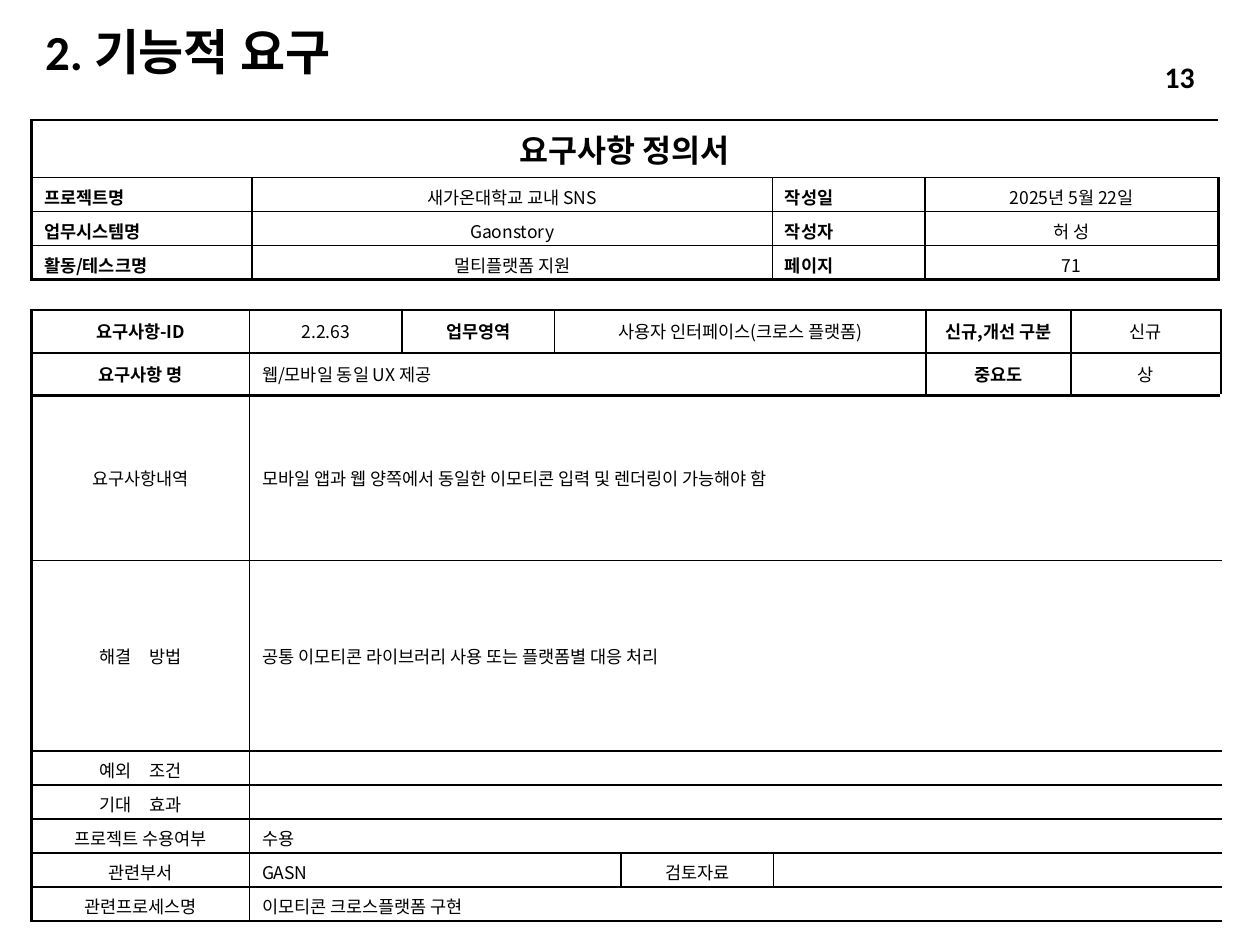
from lxml import etree
from pptx import Presentation
from pptx.dml.color import RGBColor
from pptx.enum import text
from pptx.oxml.ns import qn
from pptx.util import Inches, Pt

BLACK = "000000"
SANS, LATIN = "Noto Sans CJK KR", "Calibri"
THIN, THICK = 1, 1.5
LEFT, CENTER, RIGHT, JUSTIFY = (
    text.PP_ALIGN.LEFT, text.PP_ALIGN.CENTER, text.PP_ALIGN.RIGHT, text.PP_ALIGN.JUSTIFY)
MIDDLE, TOP = text.MSO_ANCHOR.MIDDLE, text.MSO_ANCHOR.TOP

# Cell styles: alignment, bold, size, font
STYLES = {
    "heading": (CENTER, True, 18, SANS),
    "field": (JUSTIFY, True, 10, SANS),
    "label": (CENTER, True, 10, SANS),
    "plain": (CENTER, False, 10, SANS),
    "entry": (LEFT, False, 10, SANS),
    "detail": (LEFT, False, 10, LATIN),
}

# Each row lists its cells as (text, style, columns spanned)
REQUIREMENT = {
    "at": (0.25, 2.46),
    "columns": [1.73, 1.21, 1.21, 0.53, 1.21, 1.21, 1.15, 1.19],
    "heights": [0.34, 0.34, 1.31, 1.51] + [0.27] * 5,
    "thick_below": {0, 1},
    "top_anchored": set(),
    "rows": [
        [("요구사항-ID", "label", 1), ("2.2.63", "plain", 1), ("업무영역", "label", 1),
         ("사용자 인터페이스(크로스 플랫폼)", "plain", 3),
         ("신규,개선 구분", "label", 1), ("신규", "plain", 1)],
        [("요구사항 명", "label", 1), ("웹/모바일 동일 UX 제공", "entry", 5),
         ("중요도", "label", 1), ("상", "plain", 1)],
        [("요구사항내역", "plain", 1),
         ("모바일 앱과 웹 양쪽에서 동일한 이모티콘 입력 및 렌더링이 가능해야 함", "detail", 7)],
        [("해결　방법", "plain", 1),
         ("공통 이모티콘 라이브러리 사용 또는 플랫폼별 대응 처리", "entry", 7)],
        [("예외　조건", "plain", 1), ("", "entry", 7)],
        [("기대　효과", "plain", 1), ("", "entry", 7)],
        [("프로젝트 수용여부", "plain", 1), ("수용", "entry", 7)],
        [("관련부서", "plain", 1), ("GASN", "entry", 3),
         ("검토자료", "plain", 1), ("", "entry", 3)],
        [("관련프로세스명", "plain", 1), ("이모티콘 크로스플랫폼 구현", "entry", 7)],
    ],
}
PROJECT = {
    "at": (0.25, 0.95),
    "columns": [1.75, 4.13, 1.21, 2.33],
    "heights": [0.46] + [0.27] * 3,
    "thick_below": set(),
    "top_anchored": {1, 2, 3},
    "rows": [[("요구사항 정의서", "heading", 4)]] + [
        [(name, "field", 1), (value, "plain", 1), (side_name, "field", 1), (side_value, "plain", 1)]
        for name, value, side_name, side_value in [
            ("프로젝트명", "새가온대학교 교내 SNS", "작성일", "2025년 5월 22일"),
            ("업무시스템명", "Gaonstory", "작성자", "허 성"),
            ("활동/테스크명", "멀티플랫폼 지원", "페이지", "71"),
        ]
    ],
}

# Text, place, alignment, size, line spacing
CAPTIONS = [
    ("2. 기능적 요구", (0.26, 0.21, 5.36, 0.44), LEFT, 28, 0.9),
    ("13", (7.96, 0.41, 1.62, 0.4), RIGHT, 17, 1),
]


def color(value):
    return RGBColor.from_string(value)


def write(paragraph, words, align, bold, size, font):
    paragraph.alignment = align
    if not words:
        etree.SubElement(paragraph._p, qn("a:endParaRPr"), sz=str(size * 100))
        return
    run = paragraph.add_run()
    run.text = words
    for key, value in {"name": font, "size": Pt(size), "bold": bold}.items():
        setattr(run.font, key, value)
    run.font.color.rgb = color(BLACK)
    etree.SubElement(run._r.get_or_add_rPr(), qn("a:ea"), typeface=SANS)


def add_space_before(paragraph, percent):
    spacing = etree.SubElement(paragraph._p.get_or_add_pPr(), qn("a:spcBef"))
    etree.SubElement(spacing, qn("a:spcPct"), val=str(percent * 1000))


def set_borders(cell, widths):
    """Draw the sides named in widths; they precede the fill in the schema."""
    properties = cell._tc.get_or_add_tcPr()
    for side, width in widths.items():
        line = etree.SubElement(properties, qn(f"a:ln{side}"), w=str(Pt(width)))
        fill = etree.SubElement(line, qn("a:solidFill"))
        etree.SubElement(fill, qn("a:srgbClr"), val=BLACK)
    cell.fill.background()


def add_form(slide, form):
    columns, heights, rows = form["columns"], form["heights"], form["rows"]
    area = [*form["at"], sum(columns), sum(heights)]
    table = slide.shapes.add_table(len(rows), len(columns), *map(Inches, area)).table
    table.first_row = table.horz_banding = False
    for column, width in zip(table.columns, columns):
        column.width = Inches(width)
    for row, height in zip(table.rows, heights):
        row.height = Inches(height)

    thick_lines = {0, len(rows)} | {r + 1 for r in form["thick_below"]}
    for r, cells in enumerate(rows):
        start = 0
        for words, style, span in cells:
            end = start + span
            for c in range(start, end):
                sides = {}
                if c == start:
                    sides["L"] = THIN if start else THICK
                if c == end - 1:
                    sides["R"] = THIN if end < len(columns) else THICK
                sides["T"] = THICK if r in thick_lines else THIN
                sides["B"] = THICK if r + 1 in thick_lines else THIN
                set_borders(table.cell(r, c), sides)
            cell = table.cell(r, start)
            if span > 1:
                cell.merge(table.cell(r, end - 1))
            cell.vertical_anchor = TOP if r in form["top_anchored"] else MIDDLE
            paragraph = cell.text_frame.paragraphs[0]
            add_space_before(paragraph, 20)
            write(paragraph, words, *STYLES[style])
            start = end


def add_caption(slide, words, place, align, size, spacing):
    frame = slide.shapes.add_textbox(*map(Inches, place)).text_frame
    frame.word_wrap = True
    frame.vertical_anchor = MIDDLE
    paragraph = frame.paragraphs[0]
    paragraph.line_spacing = spacing
    write(paragraph, words, align, True, size, LATIN)


def main():
    deck = Presentation()
    deck.slide_width, deck.slide_height = Inches(10), Inches(7.5)
    slide = deck.slides.add_slide(deck.slide_layouts[6])
    title, page_number = CAPTIONS
    add_caption(slide, *title)
    for form in (REQUIREMENT, PROJECT):
        add_form(slide, form)
    add_caption(slide, *page_number)
    deck.save("out.pptx")


if __name__ == "__main__":
    main()
